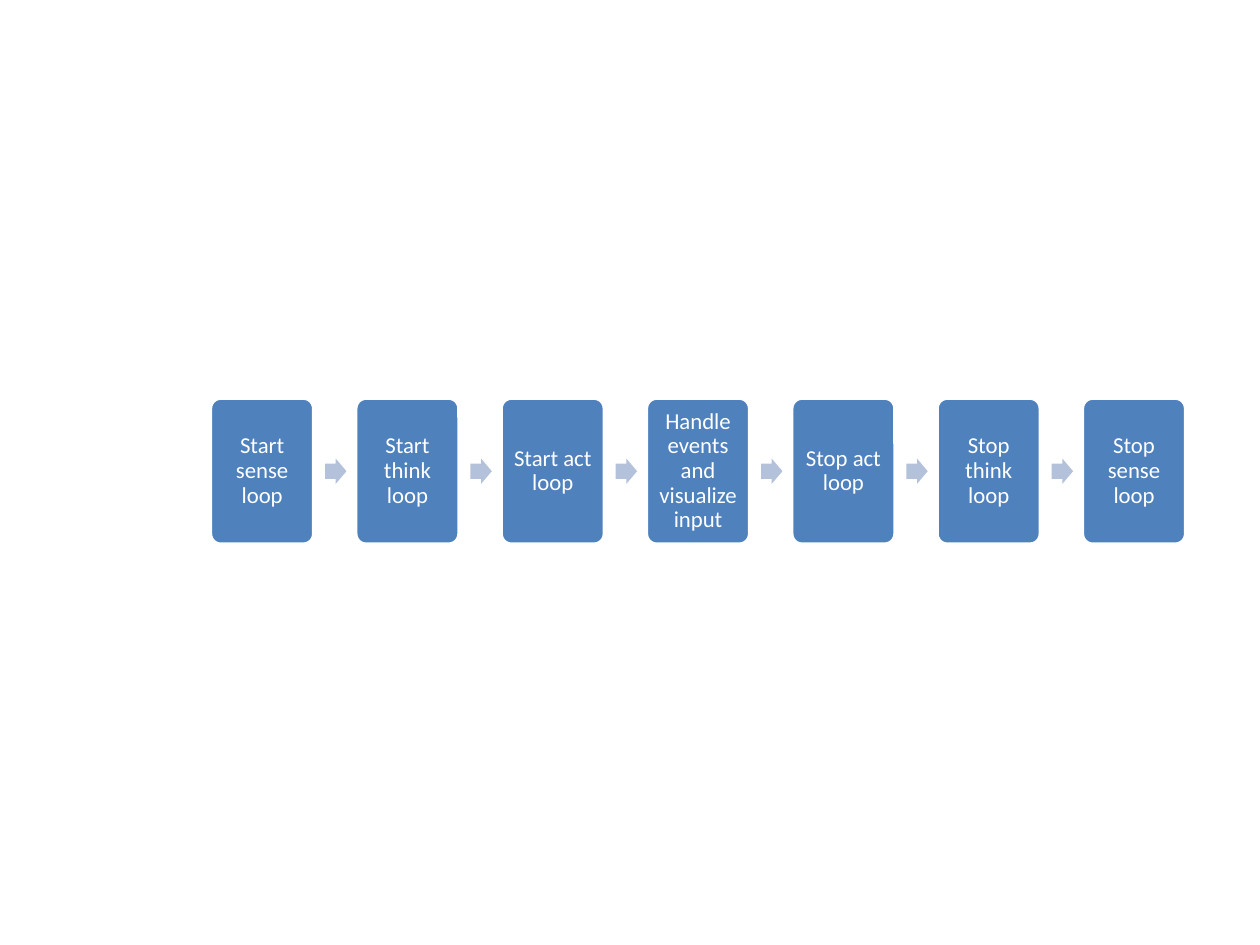
from pptx import Presentation, util as u
from pptx.dml.color import RGBColor
from pptx.enum import shapes, text

STEPS = ["Start sense loop", "Start think loop", "Start act loop",
         "Handle events and visualize input",
         "Stop act loop", "Stop think loop", "Stop sense loop"]
LEFT, LAST, MID = 1.67, 8.59, 3.74
PITCH = (LAST - LEFT) / (len(STEPS) - 1)
BOX_W, BOX_H = 0.82, 1.16
ARROW_W, ARROW_H = 0.17, 0.2
ARROW_GAP = 0.09


def color(code):
    """Turn a hex string into a colour."""
    return RGBColor.from_string(code)


def apply(item, values):
    """Set each named attribute of an item."""
    for name, value in values.items():
        setattr(item, name, value)


class Flow:
    """Style and current slide of a process row."""

    blue, pale, white = "4F81BD", "B3C1DB", "FFFFFF"
    frame = {"word_wrap": True, "vertical_anchor": text.MSO_ANCHOR.MIDDLE,
             **{f"margin_{side}": u.Inches(0.05)
                for side in ("left", "top", "right", "bottom")}}
    para = {"alignment": text.PP_ALIGN.CENTER, "line_spacing": 0.9}
    font = {"name": "Calibri", "size": u.Pt(13)}

    def __init__(self, slide):
        """Keep the slide to draw on."""
        self.slide = slide

    def shape(self, kind, left, width, height, fill, adjust):
        """Add a filled shape centred on the row."""
        item = self.slide.shapes.add_shape(
            kind, *map(u.Inches, (left, MID - height / 2, width, height)))
        item.shadow.inherit = False
        item.fill.solid()
        item.fill.fore_color.rgb = color(fill)
        for place, value in enumerate(adjust):
            item.adjustments[place] = value
        return item

    def step(self, left, label):
        """Add a rounded box with its label."""
        box = self.shape(shapes.MSO_SHAPE.ROUNDED_RECTANGLE, left,
                         BOX_W, BOX_H, self.blue, [0.1])
        box.line.color.rgb = color(self.white)
        box.line.width = u.Pt(2)
        apply(box.text_frame, self.frame)
        para = box.text_frame.paragraphs[0]
        apply(para, self.para)
        run = para.add_run()
        run.text = label
        apply(run.font, self.font)
        run.font.color.rgb = color(self.white)

    def arrow(self, left):
        """Add a block arrow between two steps."""
        arrow = self.shape(shapes.MSO_SHAPE.RIGHT_ARROW, left,
                           ARROW_W, ARROW_H, self.pale, [0.6, 0.5])
        arrow.line.fill.background()


def main():
    """Build and save the slide."""
    deck = Presentation()
    deck.slide_width, deck.slide_height = u.Inches(10), u.Inches(7.5)
    flow = Flow(deck.slides.add_slide(deck.slide_layouts[6]))
    for col, label in enumerate(STEPS):
        left = LEFT + col * PITCH
        if col:
            flow.arrow(left - PITCH + BOX_W + ARROW_GAP)
        flow.step(left, label)
    deck.save("out.pptx")


main()
